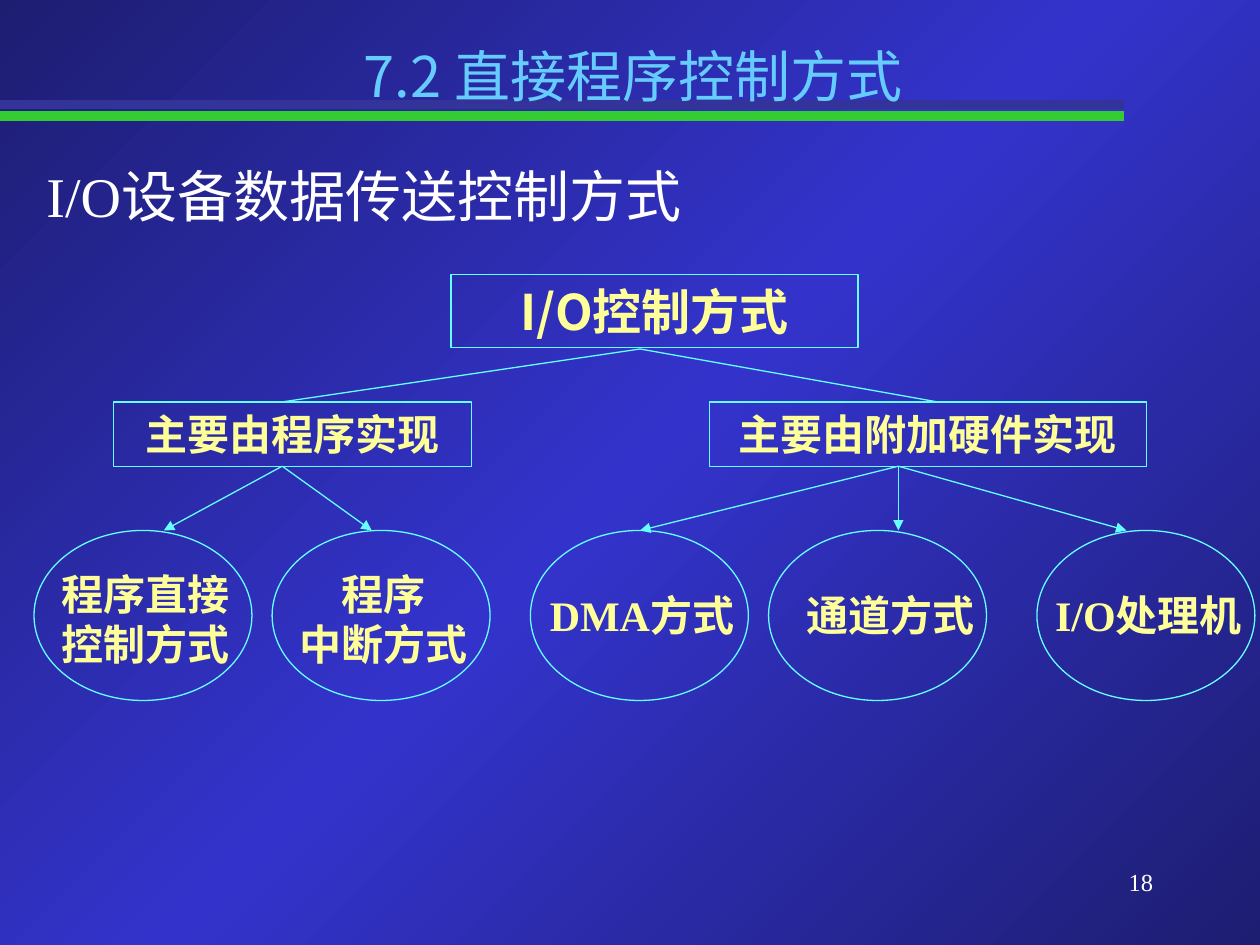
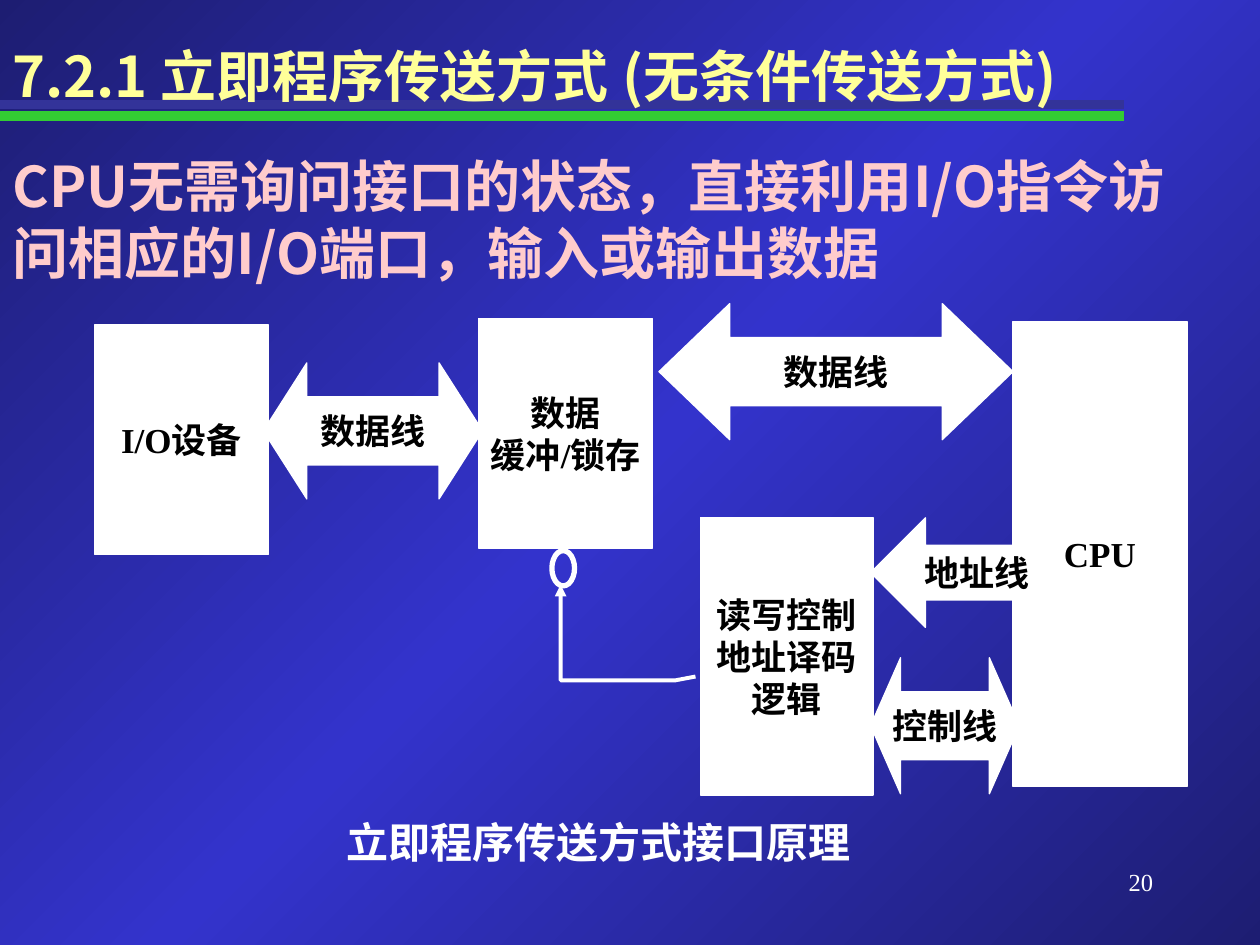
from copy import deepcopy

from lxml.etree import SubElement
from pptx import Presentation
from pptx.dml.color import RGBColor
from pptx.enum.shapes import MSO_CONNECTOR, MSO_SHAPE
from pptx.enum.text import MSO_ANCHOR, PP_ALIGN
from pptx.oxml.ns import qn
from pptx.util import Pt

SCALE = 9144
SANS = "Noto Sans CJK SC"
SERIF = "Times New Roman"
INK = {
    "edge": "1D1D72", "core": "3333CC", "green": "33CC33", "band": "333399",
    "white": "FFFFFF", "black": "000000", "sky": "66CCFF", "aqua": "66FFFF",
    "cream": "FFFF99", "pink": "FFCCCC",
}


def px(*nums):
    return [n * SCALE for n in nums]


def tint(name):
    return RGBColor.from_string(INK[name])


class Deck:
    def __init__(self, wide, high):
        self.show = Presentation()
        self.show.slide_width, self.show.slide_height = px(wide, high)
        self.paint()

    def paint(self):
        master = self.show.slide_master
        fill = master.background.fill
        fill.gradient()
        fill.gradient_angle = 315
        stops = master.element.xpath("./p:cSld/p:bg//a:gsLst")[0]
        stops.append(deepcopy(stops[0]))
        for stop, place, name in zip(fill.gradient_stops, (0, 0.5, 1), ("edge", "core", "edge")):
            stop.position = place
            stop.color.rgb = tint(name)

    def page(self, num):
        self.slide = self.show.slides.add_slide(self.show.slide_layouts[6])
        self.line((0, 92), (892, 92), "green", 5.5)
        self.line((0, 83), (892, 83), "band", 5.5)
        self.text((717, 683, 208, 50), num, 14, "white", align=PP_ALIGN.RIGHT, bold=False)

    def stroke(self, item, color, width, end=None):
        item.line.color.rgb = tint(color)
        item.line.width = Pt(width)
        if end:
            SubElement(item.element.xpath(".//a:ln")[0], qn("a:" + end), type="triangle")

    def line(self, start, stop, color, width=0.75, end=None):
        item = self.slide.shapes.add_connector(MSO_CONNECTOR.STRAIGHT, *px(*start, *stop))
        self.stroke(item, color, width, end)
        SubElement(item.element.spPr, qn("a:effectLst"))

    def fan(self, root, tips, end=None):
        for tip in tips:
            self.line(root, tip, "aqua", end=end)

    def label(self, item, words, size, color, font=SERIF, bold=True, align=PP_ALIGN.CENTER):
        frame = item.text_frame
        frame.word_wrap = True
        for i, part in enumerate(words.split("\n")):
            para = frame.add_paragraph() if i else frame.paragraphs[0]
            para.alignment = align
            run = para.add_run()
            run.text = part
            run.font.size = Pt(size)
            run.font.bold = bold
            run.font.color.rgb = tint(color)
            run.font.name = font
        for props in item.element.xpath(".//a:rPr"):
            SubElement(props, qn("a:ea"), typeface=SANS)

    def text(self, box, words, size, color, **style):
        item = self.slide.shapes.add_textbox(*px(*box))
        self.label(item, words, size, color, **style)

    def shape(self, kind, box, color, fill=None, width=0.75, turns=()):
        item = self.slide.shapes.add_shape(kind, *px(*box))
        item.shadow.inherit = False
        self.stroke(item, color, width)
        if fill:
            item.fill.solid()
            item.fill.fore_color.rgb = tint(fill)
        else:
            item.fill.background()
        for i, turn in enumerate(turns):
            item.adjustments[i] = turn
        return item

    def frame(self, box, words, size, font=SERIF):
        item = self.shape(MSO_SHAPE.RECTANGLE, box, "aqua")
        item.text_frame.vertical_anchor = MSO_ANCHOR.MIDDLE
        self.label(item, words, size, "cream", font)

    def block(self, box, words, kind=MSO_SHAPE.RECTANGLE, turns=()):
        item = self.shape(kind, box, "white", "white", turns=turns)
        body = item.text_frame
        body.vertical_anchor = MSO_ANCHOR.MIDDLE
        body.margin_left = body.margin_right = 0
        self.label(item, words, 20, "black")

    def oval(self, left, words, shift=0, tall=False):
        self.shape(MSO_SHAPE.OVAL, (left, 421, 173, 135), "aqua")
        top, high = (446, 90) if tall else (463, 50)
        self.text((left + shift, top, 177, high), words, 24, "cream")

    def trace(self, first, *rest):
        build = self.slide.shapes.build_freeform(*first, scale=SCALE)
        build.add_line_segments(rest, close=False)
        item = build.convert_to_shape()
        item.shadow.inherit = False
        item.fill.background()
        self.stroke(item, "white", 2.25, "headEnd")


def modes(deck):
    deck.page("18")
    deck.text((69, 28, 867, 70), "7.2 直接程序控制方式", 32, "sky", font=SANS, bold=False)
    deck.oval(27, "程序直接控制方式", tall=True)
    deck.oval(216, "程序\n中断方式", tall=True)
    deck.oval(421, "DMA方式")
    deck.oval(610, "通道方式", shift=8)
    deck.oval(823, "I/O处理机")
    deck.frame((358, 218, 323, 58), "I/O控制方式", 28, SANS)
    deck.frame((90, 319, 284, 51), "主要由程序实现", 24)
    deck.frame((563, 319, 347, 51), "主要由附加硬件实现", 24)
    deck.fan((508, 277), [(224, 319), (744, 319)])
    deck.fan((224, 370), [(130, 421), (295, 421)], "tailEnd")
    deck.fan((713, 370), [(508, 421), (713, 421), (894, 421)], "tailEnd")
    deck.text((27, 123, 705, 63), "I/O设备数据传送控制方式", 32, "white",
              bold=False, align=PP_ALIGN.LEFT)


def direct(deck):
    deck.page("20")
    head = dict(font=SANS, align=PP_ALIGN.LEFT)
    deck.text((0, 28, 958, 63), "7.2.1 立即程序传送方式 (无条件传送方式)", 32, "cream", **head)
    deck.text((0, 115, 958, 117),
              "CPU无需询问接口的状态，直接利用I/O指令访问相应的I/O端口，输入或输出数据",
              32, "pink", **head)
    deck.block((75, 258, 138, 182), "I/O设备")
    deck.block((380, 253, 138, 182), "数据\n缓冲/锁存")
    deck.block((804, 255, 138, 369), "CPU")
    deck.shape(MSO_SHAPE.OVAL, (438, 437, 18, 28), "white", width=3)
    deck.trace((445, 464), (445, 540), (536, 540), (552, 537))
    deck.block((556, 411, 137, 220), "读写控制\n地址译码\n逻辑")
    for left, top, wide, words, tip in (
        (523, 241, 281, "数据线", 0.52),
        (209, 288, 174, "数据线", 0.32),
        (691, 522, 118, "控制线", 0.22),
    ):
        deck.block((left, top, wide, 108), words, MSO_SHAPE.LEFT_RIGHT_ARROW, (0.5, tip))
    deck.text((201, 643, 548, 45), "立即程序传送方式接口原理", 24, "white")
    deck.block((691, 411, 147, 87), "地址线", MSO_SHAPE.LEFT_ARROW, (0.5, 0.5))


def main():
    deck = Deck(1000, 750)
    modes(deck)
    direct(deck)
    deck.show.save("out.pptx")


if __name__ == "__main__":
    main()
